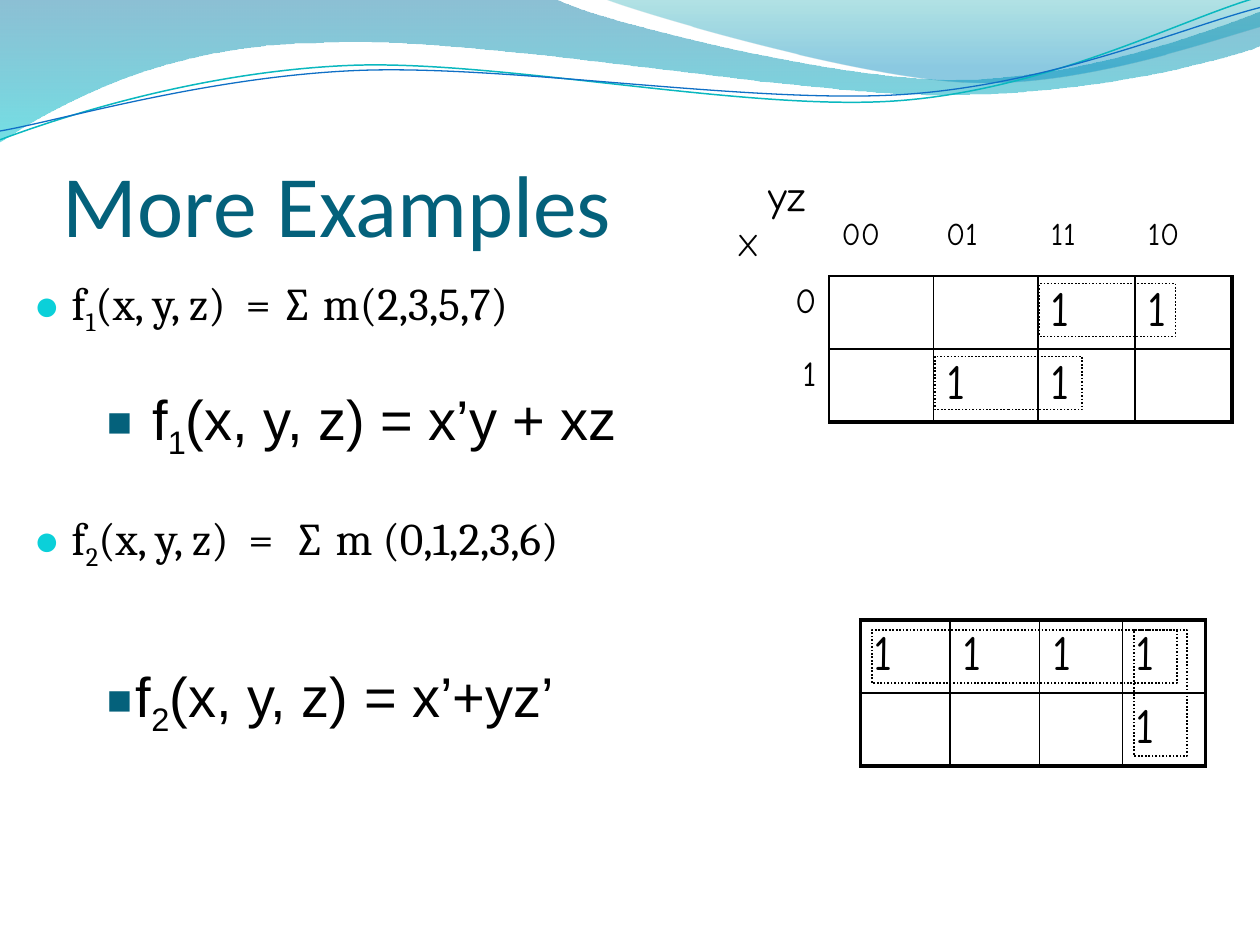
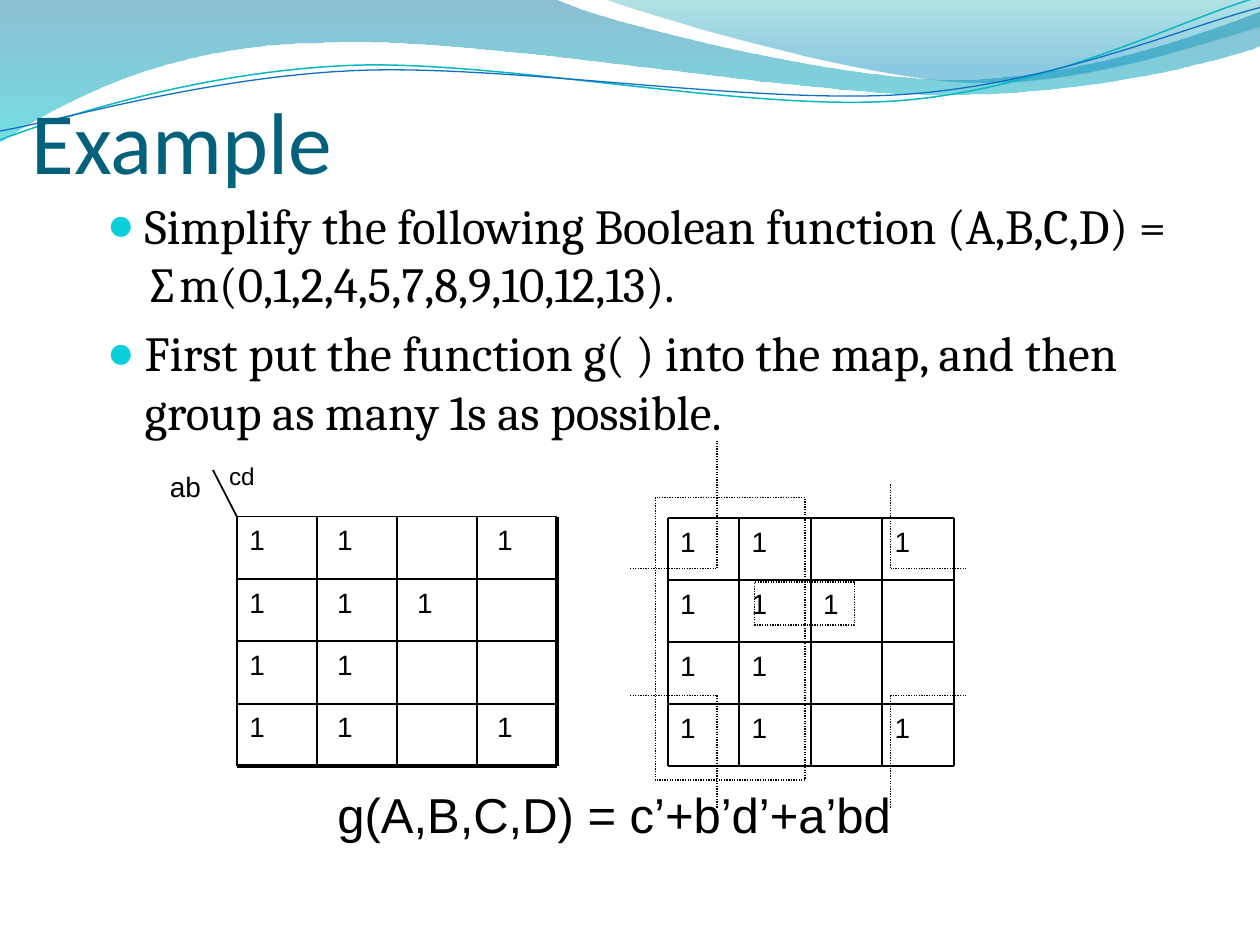
from pptx import Presentation
from pptx.dml.color import RGBColor
from pptx.enum.dml import MSO_LINE
from pptx.enum.shapes import MSO_CONNECTOR, MSO_SHAPE
from pptx.enum.text import MSO_ANCHOR, PP_ALIGN
from pptx.oxml import parse_xml
from pptx.oxml.ns import nsdecls, qn
from pptx.util import Cm, Pt

DOTTED = MSO_LINE.ROUND_DOT
STRAIGHT = MSO_CONNECTOR.STRAIGHT
RECT = MSO_SHAPE.RECTANGLE
TOP, BOTTOM = MSO_ANCHOR.TOP, MSO_ANCHOR.BOTTOM
LEFT, RIGHT = PP_ALIGN.LEFT, PP_ALIGN.RIGHT

# ---- Shared look; all places are in inches ----
BLACK, TEAL, CYAN = "000000", "04617B", "0BD0D9"
HEAD, BODY, SANS, COMIC = "Calibri", "Cambria", "Arial", "Comic Neue"
THIN, HEAVY = 1, 2.25

# A path is a start point, then points (2 numbers) and curves (6 numbers)
BANDS = [
    ([(0, -0.01), (4.4, -0.01), (4.76, 0.17, 6.64, 0.63, 7.58, 0.63),
      (8.53, 0.63, 9.58, 0.26, 10, 0.09), (10.01, 0.36),
      (9.83, 0.44, 8.7, 0.76, 7.46, 0.75), (6.22, 0.75, 3.82, 0.28, 2.57, 0.34),
      (1.29, 0.35, 0.46, 0.83, -0.01, 1.13)],
     [(0, "0074A1", 45), (100, "00C6CF", 55)]),
    ([(4.79, -0.01), (5.09, 0.11, 6.82, 0.62, 7.69, 0.65),
      (8.56, 0.69, 9.61, 0.32, 10, 0.21), (10, 0)],
     [(0, "00A1A9", 30), (80, "008BBF", 45)]),
]
WAVES = [
    ([(0, 1.11), (0.48, 0.93, 1.58, 0.57, 2.77, 0.52),
      (3.95, 0.47, 5.93, 0.89, 7.13, 0.8), (8.33, 0.71, 9.38, 0.15, 9.98, -0.02)],
     "0AB8BF", 0.85),
    ([(0, 1.04), (0.47, 0.96, 1.64, 0.61, 2.83, 0.56),
      (4.03, 0.51, 5.97, 0.83, 7.17, 0.75), (8.36, 0.67, 9.41, 0.21, 10, 0.06)],
     "0F6FC6", 0.75),
]

# ---- Slide 1 content; between bars: a subscript, or a widened space ----
FUNCTIONS = ["f|1|(x, y, z)| |= ∑ m(2,3,5,7)", "f|2|(x, y, z)| |=| |∑ m (0,1,2,3,6)"]
ANSWERS = [  # text, box, bullet indent
    ("f|1|(x, y, z) = x’y + xz", (0.75, 3, 4.56, 0.63), 0.36),
    ("f|2|(x, y, z) = x’+yz’", (0.75, 5.2, 4.03, 0.63), 0.23),
]
TABLES = [
    dict(at=(5.75, 1.33), cols=[0.83, 0.83, 0.83, 0.77, 0.77], rows=[0.86, 0.58, 0.58],
         labels=1, first_edge=THIN,
         cells=[["yz\nX", "00", "01", "11", "10"],
                ["0", "", "", "1", "1"],
                ["1", "", "1", "1", ""]]),
    dict(at=(6.83, 4.92), cols=[0.71, 0.71, 0.66, 0.66], rows=[0.58, 0.58],
         labels=0, first_edge=HEAVY,
         cells=[["1", "1", "1", "1"], ["", "", "", "1"]]),
]
TABLE_GROUPS = [(8.25, 2.25, 1.08, 0.42), (7.42, 2.83, 1.17, 0.42),
                (6.92, 5, 2.42, 0.42), (9, 5, 0.42, 1)]

# ---- Slide 2 content ----
STEPS = ["Simplify the following Boolean function (A,B,C,D) = ∑m(0,1,2,4,5,7,8,9,10,12,13).",
         "First put the function g( ) into the map, and then group as many 1s as possible."]
RESULT = "g(A,B,C,D) = c’+b’d’+a’bd"
ONES = ["11.1", "111.", "11..", "11.1"]
MAPS = [  # left, top, cell width, cell height, far edge, extra inset after column 0
    (1.88, 4.1, 0.635, 0.495, HEAVY, 0.06),
    (5.3, 4.11, 0.5675, 0.4925, THIN, 0),
]
MAP_GROUPS = [(5.2, 3.95, 1.19, 2.24), (5.99, 4.62, 0.79, 0.34)]
CORNERS = [  # outer x, corner x, corner y, outer y
    (5, 5.69, 5.52, 6.42), (5, 5.69, 4.51, 3.5),
    (7.67, 7.07, 5.52, 6.42), (7.67, 7.07, 4.51, 3.84),
]


def inch(v):
    return Cm(2.54 * v)


def rgb(color):
    return RGBColor.from_string(color)


# ---- Text ----
def write(p, text, size, font, color=BLACK, before=None, align=LEFT):
    p.alignment = align
    p.space_before = Pt(0.2 * size if before is None else before)
    for i, part in enumerate(text.split("|")):
        if not part:
            continue
        r = p.add_run()
        r.text = part
        r.font.size, r.font.name = Pt(size), font
        r.font.color.rgb = rgb(color)
        if part == " ":
            r._r.get_or_add_rPr().set("spc", "550")
        elif i % 2:
            r._r.get_or_add_rPr().set("baseline", "-25000")


def bullet(p, char, color, percent, indent):
    pPr = p._p.get_or_add_pPr()
    pPr.set("marL", str(inch(indent)))
    pPr.set("indent", str(-inch(indent)))
    for xml in (f'<a:buClr {nsdecls("a")}><a:srgbClr val="{color}"/></a:buClr>',
                f'<a:buSzPct {nsdecls("a")} val="{percent * 1000}"/>',
                f'<a:buFont {nsdecls("a")} typeface="Arial"/>',
                f'<a:buChar {nsdecls("a")} char="{char}"/>'):
        pPr.append(parse_xml(xml))


def text_box(s, at, inset=0.1, anchor=TOP):
    tf = s.shapes.add_textbox(*map(inch, at)).text_frame
    tf.word_wrap, tf.vertical_anchor = True, anchor
    tf.margin_left, tf.margin_right = inch(inset), inch(min(inset, 0.1))
    return tf


def label(s, text, at, size, inset=0.1):
    p = text_box(s, at, inset).paragraphs[0]
    write(p, text, size, SANS)
    return p


def body(s, items, at, size, gap=None):
    tf = text_box(s, at)
    for i, text in enumerate(items):
        p = tf.add_paragraph() if i else tf.paragraphs[0]
        write(p, text, size, BODY, before=gap if i else None)
        bullet(p, "●", CYAN, 95, 0.3)


# ---- Lines and outlines ----
def line(s, x1, y1, x2, y2, width=THIN, dash=None):
    c = s.shapes.add_connector(STRAIGHT, *map(inch, (x1, y1, x2, y2)))
    c.line.color.rgb, c.line.width = rgb(BLACK), Pt(width)
    if dash:
        c.line.dash_style = dash
    c._element.spPr.append(parse_xml(f'<a:effectLst {nsdecls("a")}/>'))


def group_box(s, at, width):
    sp = s.shapes.add_shape(RECT, *map(inch, at))
    sp.shadow.inherit = False
    sp.fill.background()
    sp.line.color.rgb, sp.line.width = rgb(BLACK), Pt(width)
    sp.line.dash_style = DOTTED


def outline(s, path, closed):
    ends = [(inch(seg[-2]), inch(seg[-1])) for seg in path]
    builder = s.shapes.build_freeform(*ends[0])
    builder.add_line_segments(ends[1:], close=closed)
    sp = builder.convert_to_shape()
    sp.shadow.inherit = False
    sp.fill.background()
    # Bend the straight segments that have control points
    segments = list(sp._element.iter(qn("a:lnTo")))
    for seg, straight in zip(path[1:], segments):
        if len(seg) == 6:
            pts = "".join(f'<a:pt x="{inch(x) - sp.left}" y="{inch(y) - sp.top}"/>'
                          for x, y in zip(seg[::2], seg[1::2]))
            straight.getparent().replace(straight, parse_xml(
                f'<a:cubicBezTo {nsdecls("a")}>{pts}</a:cubicBezTo>'))
    return sp


def new_slide(prs, title, at):
    s = prs.slides.add_slide(prs.slide_layouts[6])
    for path, stops in BANDS:
        sp = outline(s, path, True)
        sp.line.fill.background()
        gs = "".join(f'<a:gs pos="{pos * 1000}"><a:srgbClr val="{color}">'
                     f'<a:alpha val="{alpha * 1000}"/></a:srgbClr></a:gs>'
                     for pos, color, alpha in stops)
        spPr = sp._element.spPr
        spPr.replace(spPr.find(qn("a:noFill")), parse_xml(
            f'<a:gradFill {nsdecls("a")} rotWithShape="1"><a:gsLst>{gs}</a:gsLst>'
            '<a:lin ang="5400000" scaled="0"/></a:gradFill>'))
    for path, color, width in WAVES:
        sp = outline(s, path, False)
        sp.line.color.rgb, sp.line.width = rgb(color), Pt(width)
    tf = text_box(s, at, 0, BOTTOM)
    tf.margin_bottom = 0
    write(tf.paragraphs[0], title, 50, HEAD, TEAL, before=0)
    return s


# ---- Karnaugh map as a table ----
def set_borders(cell, widths):
    tcPr = cell._tc.get_or_add_tcPr()
    for i, (side, width) in enumerate(zip(("lnL", "lnR", "lnT", "lnB"), widths)):
        fill = (f'<a:solidFill><a:srgbClr val="{BLACK}"/></a:solidFill>'
                if width else "<a:noFill/>")
        tcPr.insert(i, parse_xml(
            f'<a:{side} {nsdecls("a")} w="{Pt(width)}">{fill}</a:{side}>'))


def map_table(s, at, cols, rows, labels, first_edge, cells):
    size = (sum(cols), sum(rows))
    table = s.shapes.add_table(len(rows), len(cols), *map(inch, at + size)).table
    table.first_row = table.horz_banding = False
    for col, w in zip(table.columns, cols):
        col.width = inch(w)
    for row, h in zip(table.rows, rows):
        row.height = inch(h)

    def edge(n, across, last):
        if min(n, across) < labels:
            return 0
        return first_edge if n == labels else HEAVY if n == last else THIN

    for i, texts in enumerate(cells):
        for j, text in enumerate(texts):
            cell = table.cell(i, j)
            cell.fill.background()
            set_borders(cell, (edge(j, i, len(cols)), edge(j + 1, i, len(cols)),
                               edge(i, j, len(rows)), edge(i + 1, j, len(rows))))
            tf = cell.text_frame
            if "\n" in text:  # corner with both variable names
                across, down = text.split("\n")
                write(tf.paragraphs[0], across, 24, COMIC)
                tf.paragraphs[0]._p.get_or_add_pPr().set("marL", str(inch(0.25)))
                write(tf.add_paragraph(), down, 18, COMIC)
            elif i < labels:
                cell.margin_top = inch(0.39)
                write(tf.paragraphs[0], text, 18, COMIC)
            elif j < labels:
                write(tf.paragraphs[0], text, 20, COMIC, align=RIGHT)
            elif text:
                write(tf.paragraphs[0], text, 28, COMIC)


# ---- Karnaugh map drawn with lines ----
def line_map(s, left, top, w, h, far_edge, shift):
    n = len(ONES)
    for i, row in enumerate(ONES):
        for j, mark in enumerate(row):
            if mark == "1":
                label(s, mark, (left + j * w, top + i * h, w, h), 16,
                      0.1 + (shift if j else 0))
    for k in range(n + 1):
        width = far_edge if k == n else THIN
        line(s, left + k * w, top, left + k * w, top + n * h, width)
        line(s, left, top + k * h, left + n * w, top + k * h, width)


prs = Presentation()
prs.slide_width, prs.slide_height = inch(10), inch(7.5)

# Slide 1
s = new_slide(prs, "More Examples", (0.5, 0.77, 9, 1.25))
body(s, FUNCTIONS, (0.17, 2.13, 9, 4.95), 26, gap=99)
for text, at, indent in ANSWERS:
    bullet(label(s, text, at, 32), "■", TEAL, 75, indent)
for karnaugh in TABLES:
    map_table(s, **karnaugh)
for at in TABLE_GROUPS:
    group_box(s, at, 1)

# Slide 2
s = new_slide(prs, "Example", (0.25, 0.27, 9, 1.25))
body(s, STEPS, (0.75, 1.5, 8.86, 2.17), 28)
label(s, "|cd|", (1.72, 3.39, 0.63, 0.93), 24)
label(s, "ab", (1.25, 3.68, 0.63, 0.61), 16)
line(s, 1.69, 3.73, 1.88, 4.1)
for grid in MAPS:
    line_map(s, *grid)
label(s, RESULT, (2.58, 6.18, 5.63, 0.57), 28)
for at in MAP_GROUPS:
    group_box(s, at, 0.75)
for x_out, x, y, y_out in CORNERS:
    line(s, x_out, y, x, y, 0.75, DOTTED)
    line(s, x, y, x, y_out, 0.75, DOTTED)

prs.save("out.pptx")
